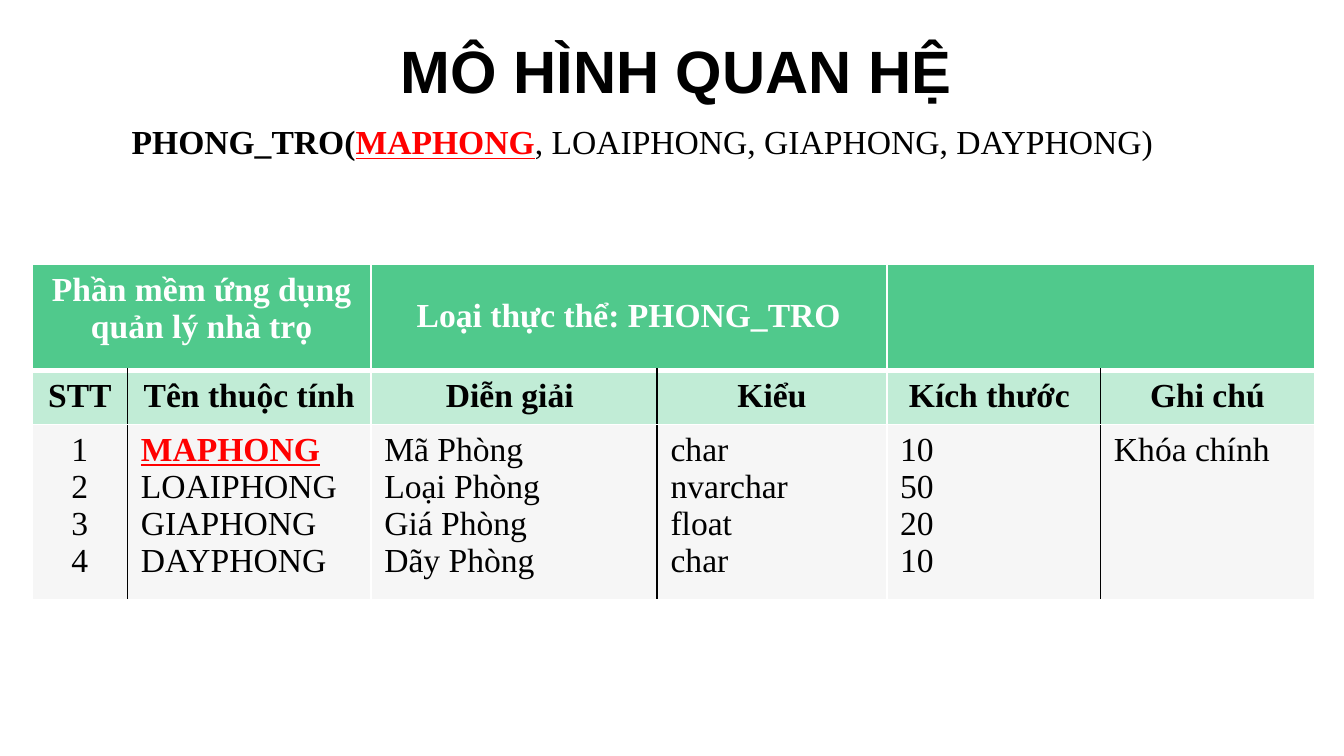
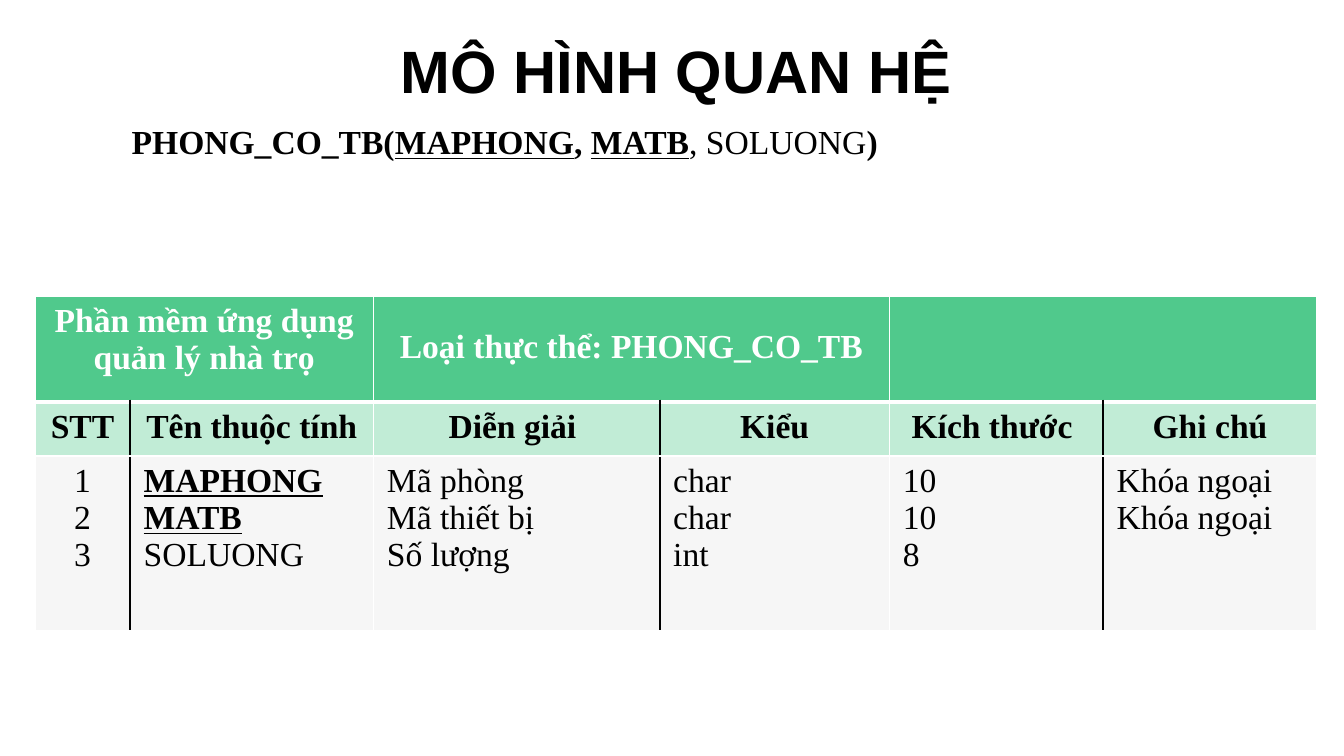
from pptx import Presentation
from pptx.dml.color import RGBColor
from pptx.enum.text import PP_ALIGN
from pptx.oxml.ns import qn
from pptx.util import Cm, Pt
from lxml.etree import SubElement

BLACK = RGBColor(0x00, 0x00, 0x00)
WHITE = RGBColor(0xFF, 0xFF, 0xFF)
RED = RGBColor(0xFF, 0x00, 0x00)
GREEN = RGBColor(0x50, 0xC9, 0x8C)
MINT = RGBColor(0xC1, 0xEC, 0xD6)
GRAY = RGBColor(0xF6, 0xF6, 0xF6)

TITLE = {"name": "Arial", "size": Pt(32), "bold": True, "color": BLACK}
PLAIN = {"name": "Times New Roman", "size": Pt(18), "bold": False, "color": BLACK}
BOLD = {**PLAIN, "bold": True}
HEAD = {**BOLD, "color": WHITE}
KEY = {**BOLD, "underline": True}
RED_KEY = {**KEY, "color": RED}

COLUMNS = ["STT", "Tên thuộc tính", "Diễn giải ", "Kiểu", "Kích thước ", "Ghi chú"]
COL_WIDTHS = [1.8, 4.6, 5.41, 4.34, 4.04, 4.04]
ROW_HEIGHTS = [2.01, 0.99, 3.3]


def set_font(font, fmt):
    for name, value in fmt.items():
        if name == "color":
            font.color.rgb = value
        else:
            setattr(font, name, value)


def add_run(p, text, fmt):
    r = p.add_run()
    r.text = text
    set_font(r.font, fmt)


def add_text(s, left, top, width, height, runs, inset=0.13):
    tf = s.shapes.add_textbox(Cm(left), Cm(top), Cm(width), Cm(height)).text_frame
    tf.word_wrap = True
    tf.margin_top = Cm(inset)
    for text, fmt in runs:
        add_run(tf.paragraphs[0], text, fmt)


def fill_cell(cell, color, lines=(), align=PP_ALIGN.CENTER):
    cell.fill.solid()
    cell.fill.fore_color.rgb = color
    tf = cell.text_frame
    for i, (text, fmt) in enumerate(lines):
        p = tf.add_paragraph() if i else tf.paragraphs[0]
        p.alignment = align
        add_run(p, text, fmt)


def set_borders(cell, row, col):
    inner = row > 0
    borders = {
        "a:lnL": (BLACK if inner and col % 2 else WHITE, 1),
        "a:lnR": (BLACK if inner and col % 2 == 0 else WHITE, 1),
        "a:lnT": (WHITE, 3 if row == 1 else 1),
        "a:lnB": (WHITE, 3 if row == 0 else 1),
    }
    tcPr = cell._tc.get_or_add_tcPr()
    for i, (tag, (color, width)) in enumerate(borders.items()):
        ln = SubElement(tcPr, qn(tag), w=str(Pt(width)))
        SubElement(SubElement(ln, qn("a:solidFill")), qn("a:srgbClr"), val=str(color))
        tcPr.insert(i, ln)


def add_entity_table(s, left, top, entity, attributes, keys, key_fmt):
    frame = s.shapes.add_table(len(ROW_HEIGHTS), len(COLUMNS), Cm(left), Cm(top),
                               Cm(sum(COL_WIDTHS)), Cm(sum(ROW_HEIGHTS)))
    table = frame.table
    for column, width in zip(table.columns, COL_WIDTHS):
        column.width = Cm(width)
    for row, height in zip(table.rows, ROW_HEIGHTS):
        row.height = Cm(height)

    heads = ["Phần mềm ứng dụng quản lý nhà trọ", f"Loại thực thể: {entity}", ""]
    for i, text in enumerate(heads):
        cell = table.cell(0, 2 * i)
        cell.merge(table.cell(0, 2 * i + 1))
        fill_cell(cell, GREEN, [(text, HEAD)] if text else [])
    table.cell(0, 2).text_frame.paragraphs[0].line_spacing = 1.7

    records = [(str(n), *a) for n, a in enumerate(attributes, 1)]
    for col, (name, values) in enumerate(zip(COLUMNS, zip(*records))):
        fill_cell(table.cell(1, col), MINT, [(name, BOLD)])
        lines = [(v, key_fmt if v in keys else PLAIN) for v in values if v]
        align = PP_ALIGN.LEFT if col else PP_ALIGN.CENTER
        fill_cell(table.cell(2, col), GRAY, lines, align)

    for row in range(len(ROW_HEIGHTS)):
        for col in range(len(COLUMNS)):
            set_borders(table.cell(row, col), row, col)


def add_relation_slide(prs, relation, relation_height, left, top, **entity):
    s = prs.slides.add_slide(prs.slide_layouts[6])
    add_text(s, 7.32, 0.38, 11.28, 1.6, [("MÔ HÌNH QUAN HỆ", TITLE)], inset=0.25)
    add_text(s, 2.24, 2.16, 20.7, relation_height, relation)
    add_entity_table(s, left, top, **entity)


def main():
    prs = Presentation()
    prs.slide_width, prs.slide_height = Cm(25.4), Cm(14.29)
    add_relation_slide(
        prs,
        [("PHONG_TRO(", BOLD), ("MAPHONG", RED_KEY),
         (", LOAIPHONG, GIAPHONG, DAYPHONG)", PLAIN)],
        1.02, 0.61, 5,
        entity="PHONG_TRO",
        attributes=[
            ("MAPHONG", "Mã Phòng", "char", "10", "Khóa chính"),
            ("LOAIPHONG", "Loại Phòng", "nvarchar", "50", ""),
            ("GIAPHONG", "Giá Phòng", "float", "20", ""),
            ("DAYPHONG", "Dãy Phòng", "char", "10", ""),
        ],
        keys=["MAPHONG"], key_fmt=RED_KEY)
    add_relation_slide(
        prs,
        [("PHONG_CO_TB(", BOLD), ("MAPHONG", KEY), (", ", BOLD), ("MATB", KEY),
         (", SOLUONG", PLAIN), (")", BOLD)],
        1.8, 0.66, 5.59,
        entity="PHONG_CO_TB",
        attributes=[
            ("MAPHONG", "Mã phòng", "char", "10", "Khóa ngoại"),
            ("MATB", "Mã thiết bị", "char", "10", "Khóa ngoại"),
            ("SOLUONG", "Số lượng", "int", "8", ""),
        ],
        keys=["MAPHONG", "MATB"], key_fmt=KEY)
    prs.save("out.pptx")


if __name__ == "__main__":
    main()
